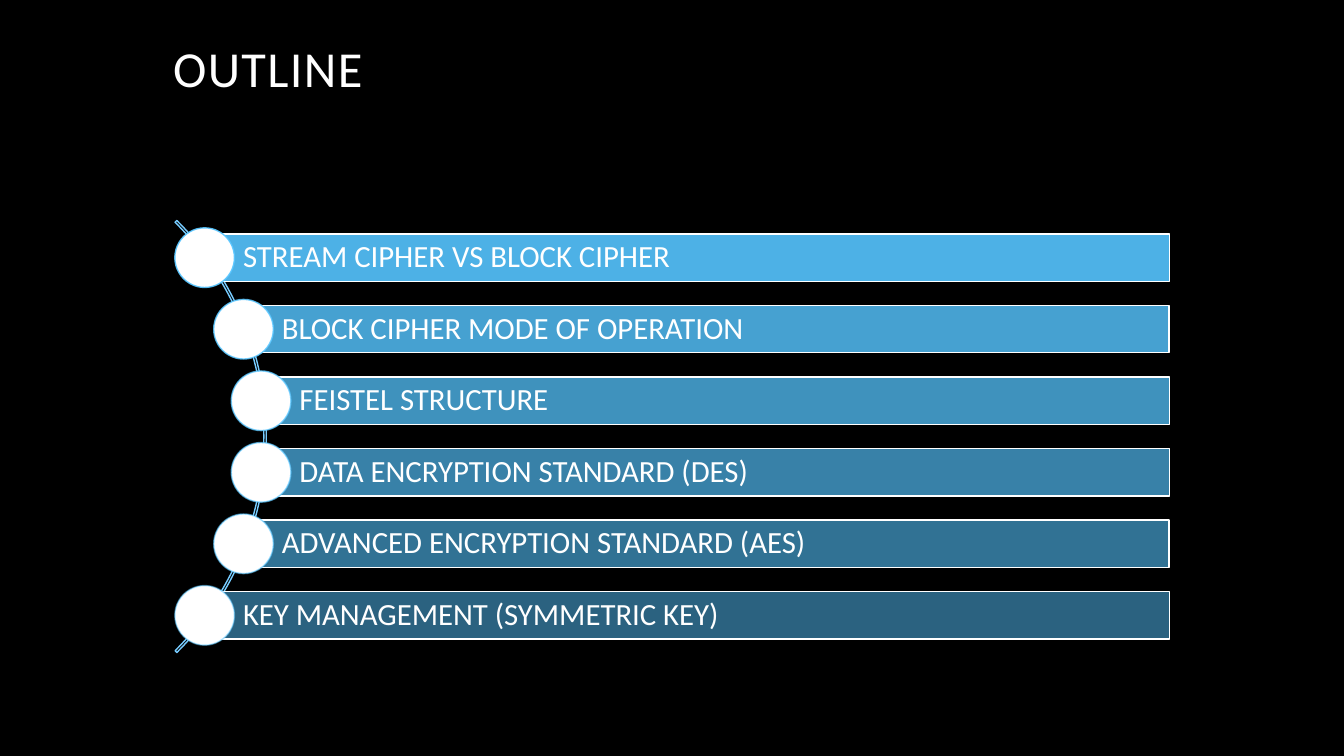
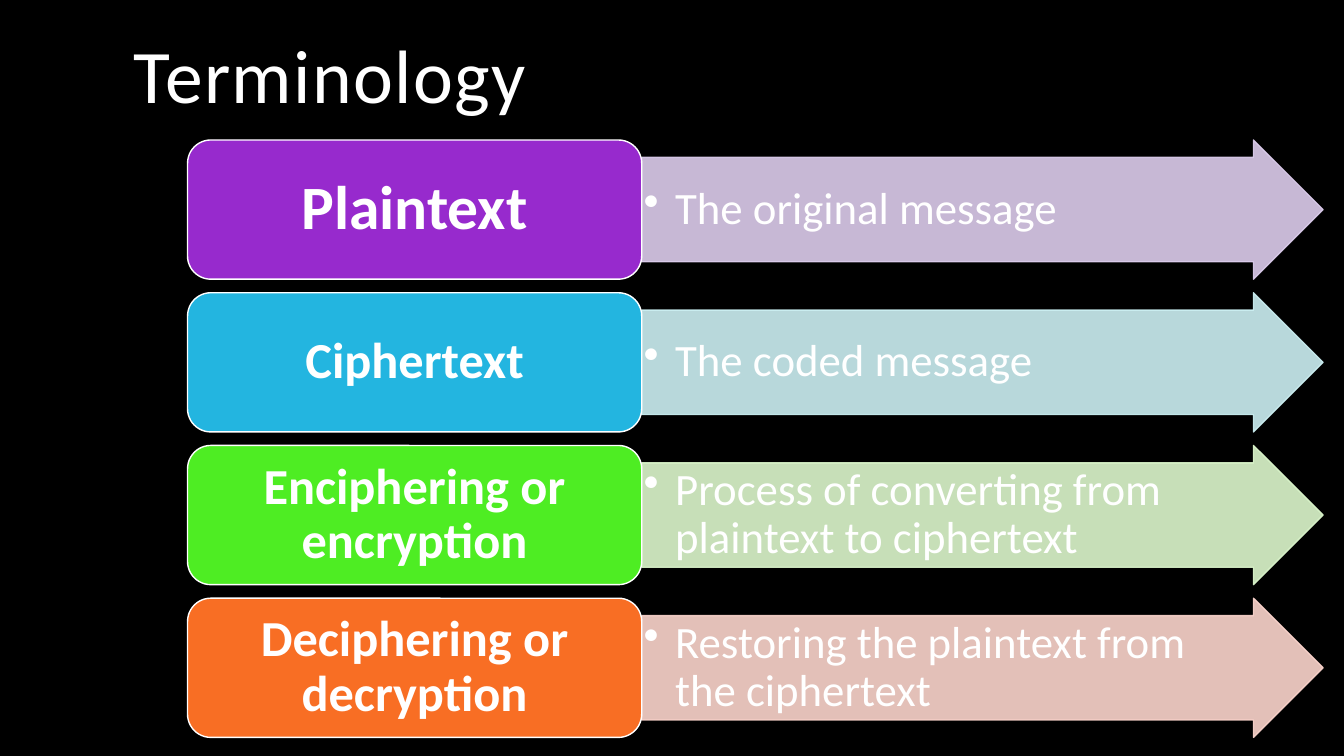
import math

from lxml import etree
from pptx import Presentation
from pptx.dml.color import RGBColor
from pptx.enum.shapes import MSO_SHAPE
from pptx.enum.text import MSO_ANCHOR, PP_ALIGN
from pptx.oxml.ns import qn
from pptx.util import Pt

ARC = MSO_SHAPE.BLOCK_ARC
ARROW = MSO_SHAPE.RIGHT_ARROW
CIRCLE = MSO_SHAPE.OVAL
RECTANGLE = MSO_SHAPE.RECTANGLE
ROUNDED = MSO_SHAPE.ROUNDED_RECTANGLE
BOTTOM, MIDDLE = MSO_ANCHOR.BOTTOM, MSO_ANCHOR.MIDDLE
LEFT, CENTER = PP_ALIGN.LEFT, PP_ALIGN.CENTER

FONT = "Calibri"
BLACK, WHITE = "000000", "FFFFFF"
SKY, PALE_SKY = "56C5FF", "77CCFF"

TOPICS = [
    "STREAM CIPHER VS BLOCK CIPHER",
    "BLOCK CIPHER MODE OF OPERATION",
    "FEISTEL STRUCTURE",
    "DATA ENCRYPTION STANDARD (DES)",
    "ADVANCED ENCRYPTION STANDARD (AES)",
    "KEY MANAGEMENT (SYMMETRIC KEY)",
]
TERMS = [
    ("Plaintext", "The original message", 44, "972ACD", "DDCDED"),
    ("Ciphertext", "The coded message", 36, "23B5E0", "CCF0F3"),
    ("Enciphering or encryption",
     "Process of converting from plaintext to ciphertext", 36, "4EED23", "DDF8CC"),
    ("Deciphering or decryption",
     "Restoring the plaintext from the ciphertext", 36, "F86E24", "FCD5CD"),
]


def paint(fill, color):
    fill.solid()
    fill.fore_color.rgb = RGBColor.from_string(color)


def set_opacity(shape, place, percent):
    for color in shape.element.spPr.xpath(f"./{place}a:solidFill/a:srgbClr"):
        etree.SubElement(color, qn("a:alpha")).set("val", str(percent * 1000))


def write_text(box, text, size, bold=False, align=LEFT, anchor=MIDDLE,
               insets=(7.2, 3.6, 7.2, 3.6), spacing=0, bullet_indent=0):
    frame = box.text_frame
    frame.word_wrap = True
    frame.vertical_anchor = anchor
    (frame.margin_left, frame.margin_top,
     frame.margin_right, frame.margin_bottom) = map(Pt, insets)
    para = frame.paragraphs[0]
    if bullet_indent:
        properties = para._p.get_or_add_pPr()
        properties.set("marL", str(Pt(bullet_indent)))
        properties.set("indent", str(-Pt(bullet_indent)))
        etree.SubElement(properties, qn("a:buChar")).set("char", "•")
    para.alignment = align
    para.line_spacing = 0.9
    span = para.add_run()
    span.text = text
    span.font.name = FONT
    span.font.size = Pt(size)
    span.font.bold = bold
    span.font.color.rgb = RGBColor.from_string(WHITE)
    if spacing:
        span.font._element.set("spc", str(spacing * 100))


class Deck:
    def __init__(self):
        self.deck = Presentation()
        self.deck.slide_width = Pt(960)
        self.deck.slide_height = Pt(540)
        self.page = None

    def add_page(self):
        self.page = self.deck.slides.add_slide(self.deck.slide_layouts[6])
        paint(self.page.background.fill, BLACK)

    def title(self, text, left, width, height, size):
        box = self.page.shapes.add_textbox(Pt(left), 0, Pt(width), Pt(height))
        write_text(box, text, size, anchor=BOTTOM, spacing=1)

    def shape(self, kind, left, top, width, height, fill=None, line=WHITE,
              fill_opacity=100, line_opacity=100, adjustments=()):
        shape = self.page.shapes.add_shape(
            kind, Pt(left), Pt(top), Pt(width), Pt(height))
        shape.shadow.inherit = False
        for index, value in enumerate(adjustments):
            shape.adjustments[index] = value
        if fill:
            paint(shape.fill, fill)
        else:
            shape.fill.background()
        paint(shape.line.fill, line)
        shape.line.width = Pt(1)
        if fill_opacity < 100:
            set_opacity(shape, "", fill_opacity)
        if line_opacity < 100:
            set_opacity(shape, "a:ln/", line_opacity)
        return shape

    def topic(self, text, center_x, center_y, opacity):
        right, height, diameter = 835.2, 33.8, 42.6
        bar = self.shape(RECTANGLE, center_x, center_y - height / 2,
                         right - center_x, height, SKY, fill_opacity=opacity)
        write_text(bar, text, 22, insets=(27.4, 4.3, 4.3, 4.3))
        self.shape(CIRCLE, center_x - diameter / 2, center_y - diameter / 2,
                   diameter, diameter, WHITE, SKY, line_opacity=opacity)

    def term(self, name, meaning, size, color, tint, top):
        height = 99.4
        arrow = self.shape(ARROW, 458.4, top, 486.7, height, tint, tint,
                           90, 90, (0.75, 0.5))
        write_text(arrow, meaning, 32, insets=(1.4, 1.4, 26.5, 1.4),
                   bullet_indent=22.5)
        label = self.shape(ROUNDED, 134, top, 324.4, height, color)
        write_text(label, name, size, bold=True, align=CENTER,
                   insets=(size * 0.3, size * 0.15) * 2)

    def save(self):
        self.deck.save("out.pptx")


def build_outline(deck):
    deck.add_page()
    deck.title("OUTLINE", 116.6, 720, 74.2, 36)
    center_x, center_y, arc_radius, topic_radius = -28, 311.8, 218.2, 216
    deck.shape(ARC, center_x - arc_radius, center_y - arc_radius,
               2 * arc_radius, 2 * arc_radius, line=PALE_SKY,
               adjustments=(189, 27, 0.004))
    for index, topic in enumerate(TOPICS):
        offset = (index - (len(TOPICS) - 1) / 2) * 51.1
        reach = math.sqrt(topic_radius ** 2 - offset ** 2)
        deck.topic(topic, center_x + reach, center_y + offset, 90 - 8 * index)


def build_terminology(deck):
    deck.add_page()
    deck.title("Terminology", 88.6, 576, 89.3, 54)
    for index, term in enumerate(TERMS):
        deck.term(*term, top=100 + 109.1 * index)


def main():
    deck = Deck()
    build_outline(deck)
    build_terminology(deck)
    deck.save()


if __name__ == "__main__":
    main()
